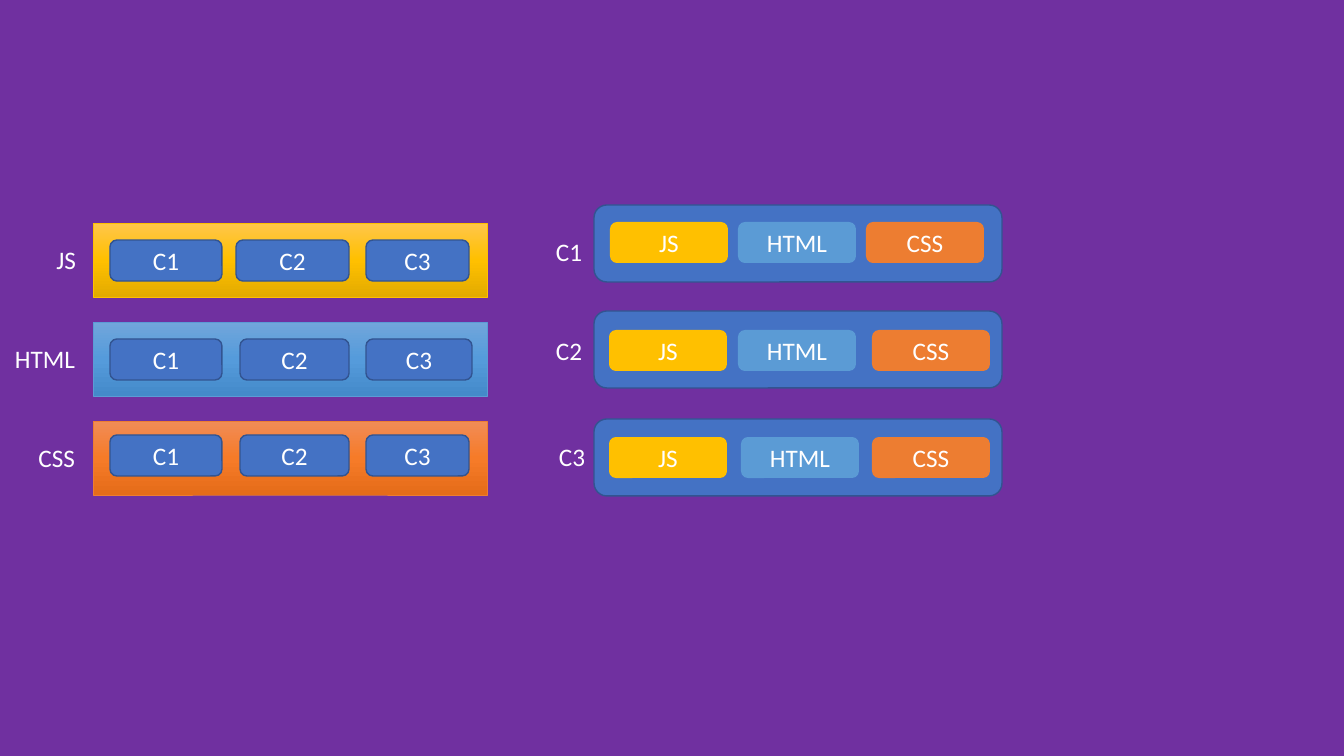
"""Builds a slide contrasting code split by language with code split by component."""
from copy import deepcopy

from pptx import Presentation
from pptx.dml.color import RGBColor
from pptx.enum.shapes import MSO_SHAPE
from pptx.enum.text import MSO_ANCHOR, MSO_AUTO_SIZE, PP_ALIGN
from pptx.oxml.ns import qn
from pptx.util import Emu, Pt

RECT, ROUNDED = MSO_SHAPE.RECTANGLE, MSO_SHAPE.ROUNDED_RECTANGLE
LEFT, CENTER, RIGHT = PP_ALIGN.LEFT, PP_ALIGN.CENTER, PP_ALIGN.RIGHT
MIDDLE = MSO_ANCHOR.MIDDLE
GROW = MSO_AUTO_SIZE.SHAPE_TO_FIT_TEXT

EMU_PER_PX = 914400 / 100.8
SLIDE_SIZE = (1344, 756)
COLORS = {
    "background": "7030A0", "text": "FFFFFF", "component": "4472C4", "outline": "325491",
    "JS": "FFC000", "HTML": "5B9BD5", "CSS": "ED7D31",
}
GRADIENTS = {
    "JS": ("FFC64B", "FFC000", "E3AB00"),
    "HTML": ("71A6DB", "559BDB", "448ACA"),
    "CSS": ("F18C57", "F67B28", "E56C19"),
}
FONT = {"name": "Calibri", "size": Pt(18)}
COMPONENTS = ("C1", "C2", "C3")
LANGUAGES = ("JS", "HTML", "CSS")

BAR_LEFT, BAR_TOP, BAR_STEP, BAR_SIZE = 93, 223, 99, (394, 74)
CARD_LEFT, CARD_SIZE = 594, (408, 77)
CHIP_HEIGHT, LABEL_HEIGHT = 41, 40
LANGUAGE_CHIP_WIDTH, COMPONENT_LABEL_WIDTH = 118, 48

LANGUAGE_ROWS = [
    {"name": "JS", "label": (33, 53), "chip_top": 240,
     "chips": [(110, 112), (236, 113), (366, 103)]},
    {"name": "HTML", "label": (4, 81), "chip_top": 339,
     "chips": [(110, 112), (240, 109), (366, 106)]},
    {"name": "CSS", "label": (28, 57), "chip_top": 435,
     "chips": [(110, 112), (240, 109), (366, 103)]},
]
COMPONENT_ROWS = [
    {"name": "C1", "top": 205, "label": (546, 231), "chip_top": 222, "chips": (610, 738, 866)},
    {"name": "C2", "top": 311, "label": (546, 330), "chip_top": 330, "chips": (609, 738, 872)},
    {"name": "C3", "top": 419, "label": (549, 436), "chip_top": 437, "chips": (609, 741, 872)},
]


def px(*lengths):
    return [Emu(round(length * EMU_PER_PX)) for length in lengths]


def color(name):
    return RGBColor.from_string(COLORS[name])


def write(shape, text, align):
    para = shape.text_frame.paragraphs[0]
    para.alignment = align
    span = para.add_run()
    span.text = text
    for key, value in FONT.items():
        setattr(span.font, key, value)
    span.font.color.rgb = color("text")


def add_box(page, kind, area, fill, outline=None, width=1, text=None):
    box = page.shapes.add_shape(kind, *px(*area))
    box.shadow.inherit = False
    box.fill.solid()
    box.fill.fore_color.rgb = color(fill)
    if outline:
        box.line.color.rgb = color(outline)
        box.line.width = Pt(width)
    else:
        box.line.fill.background()
    if text:
        box.text_frame.vertical_anchor = MIDDLE
        write(box, text, CENTER)
    return box


def add_label(page, area, text, align):
    label = page.shapes.add_textbox(*px(*area))
    for key, value in {"word_wrap": False, "auto_size": GROW}.items():
        setattr(label.text_frame, key, value)
    write(label, text, align)


def shade(box, stops):
    box.fill.gradient()
    box.fill.gradient_angle = 270
    stop_list = next(box._element.spPr.iter(qn("a:gsLst")))
    stop_list.append(deepcopy(stop_list[0]))
    for index, (stop, value) in enumerate(zip(box.fill.gradient_stops, stops)):
        stop.position = index / 2
        stop.color.rgb = RGBColor.from_string(value)


def add_language_row(page, index, row):
    name, chip_top = row["name"], row["chip_top"]
    top = BAR_TOP + index * BAR_STEP
    bar = add_box(page, RECT, (BAR_LEFT, top, *BAR_SIZE), name, name, 0.5)
    shade(bar, GRADIENTS[name])
    label_left, label_width = row["label"]
    add_label(page, (label_left, top + 16, label_width, LABEL_HEIGHT), name, RIGHT)
    for component, (left, width) in zip(COMPONENTS, row["chips"]):
        add_box(page, ROUNDED, (left, chip_top, width, CHIP_HEIGHT),
                "component", "outline", text=component)


def add_component_row(page, row):
    add_box(page, ROUNDED, (CARD_LEFT, row["top"], *CARD_SIZE), "component", "outline")
    add_label(page, (*row["label"], COMPONENT_LABEL_WIDTH, LABEL_HEIGHT), row["name"], LEFT)
    for language, left in zip(LANGUAGES, row["chips"]):
        add_box(page, ROUNDED, (left, row["chip_top"], LANGUAGE_CHIP_WIDTH, CHIP_HEIGHT),
                language, text=language)


def main():
    deck = Presentation()
    deck.slide_width, deck.slide_height = px(*SLIDE_SIZE)
    page = deck.slides.add_slide(deck.slide_layouts[6])
    page.background.fill.solid()
    page.background.fill.fore_color.rgb = color("background")
    for index, row in enumerate(LANGUAGE_ROWS):
        add_language_row(page, index, row)
    for row in COMPONENT_ROWS:
        add_component_row(page, row)
    deck.save("out.pptx")


if __name__ == "__main__":
    main()
